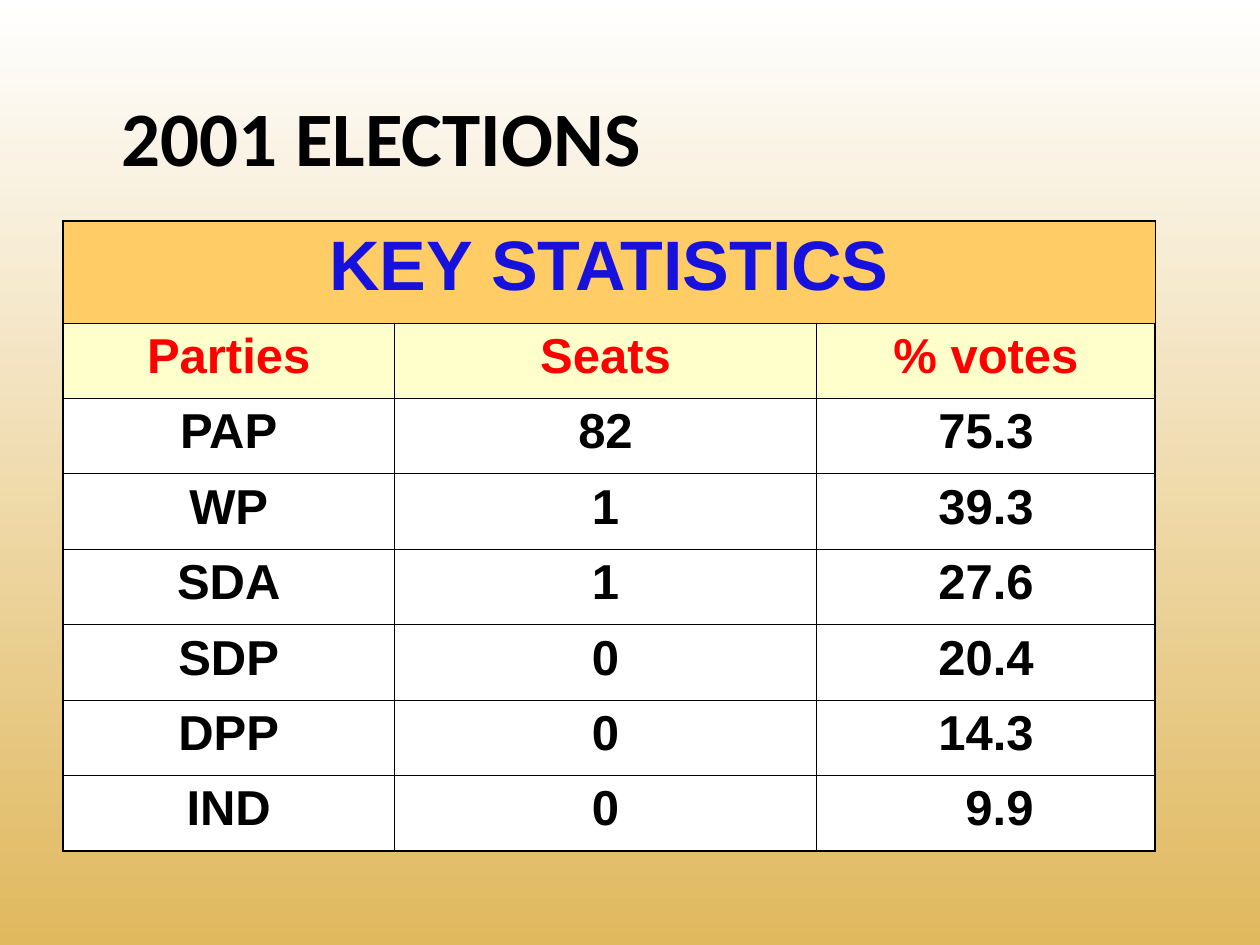
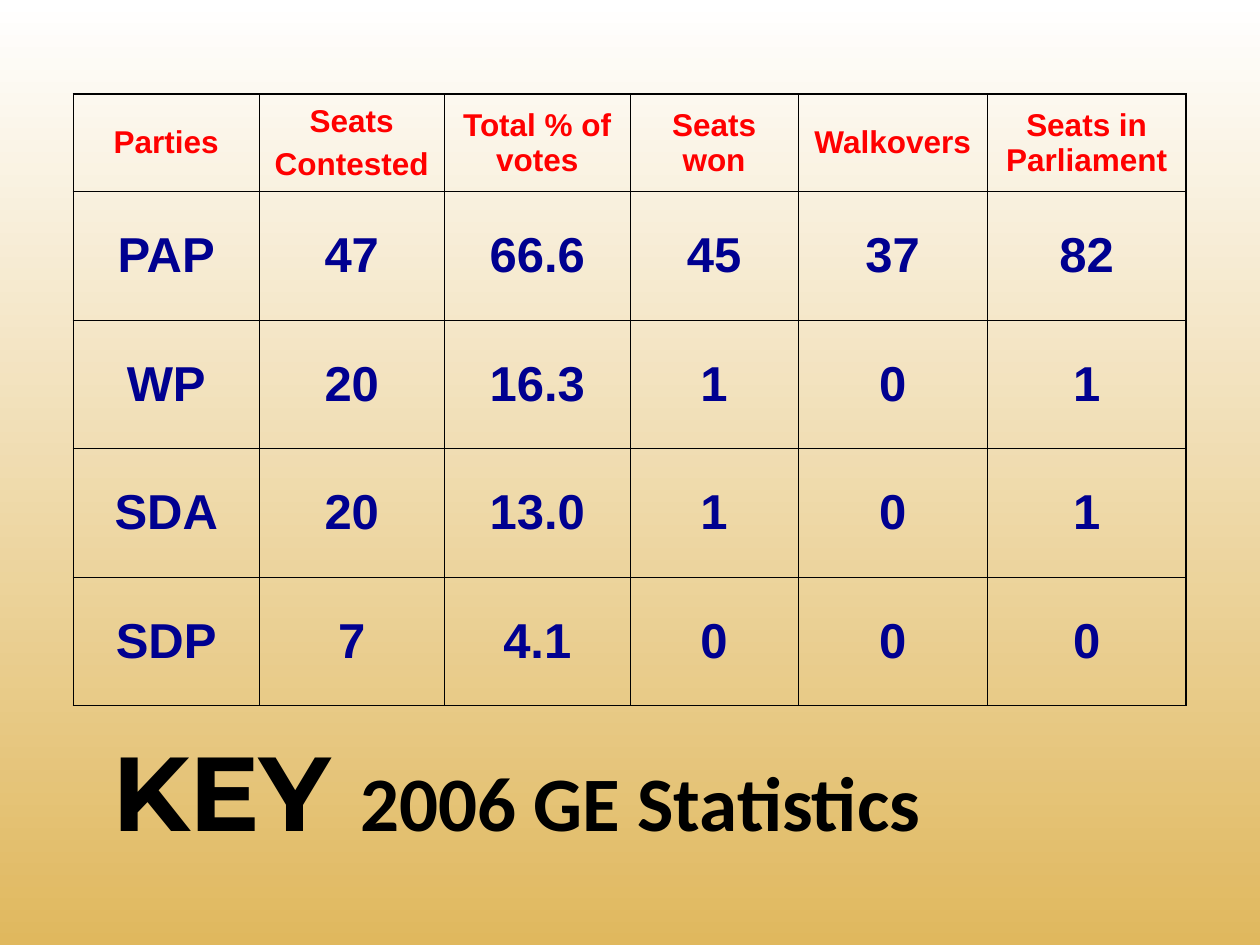
from lxml.etree import SubElement
from pptx import Presentation
from pptx.dml.color import RGBColor
from pptx.enum.text import MSO_ANCHOR, MSO_AUTO_SIZE, PP_ALIGN
from pptx.oxml.ns import qn
from pptx.util import Cm, Pt

BLACK, WHITE, RED, BLUE, NAVY = "000000", "FFFFFF", "FF0000", "1611DD", "000090"
GOLD, ORANGE, CREAM = "E0B85E", "FFCC66", "FFFFCC"
OUTER_LINE, INNER_LINE = Pt(1.08), Pt(0.45)


def paint(fill, hex_colour):
    """Fill with a solid colour, or with nothing when the colour is None."""
    if hex_colour is None:
        fill.background()
    else:
        fill.solid()
        fill.fore_color.rgb = RGBColor.from_string(hex_colour)


def draw_border(cell, side, width):
    line = SubElement(cell._tc.get_or_add_tcPr(), qn(f"a:ln{side}"), w=str(width))
    solid = SubElement(line, qn("a:solidFill"))
    SubElement(solid, qn("a:srgbClr"), val=BLACK)


deck = Presentation()
deck.slide_width, deck.slide_height = Cm(25.4), Cm(19.05)

# Shared background: gold at the bottom, white at the top
backdrop = deck.slide_master.background.fill
backdrop.gradient()
backdrop.gradient_angle = 90
for stop, hex_colour in zip(backdrop.gradient_stops, (GOLD, WHITE)):
    stop.color.rgb = RGBColor.from_string(hex_colour)

# Row styles are (text size, text colour, fill); the last one serves all remaining rows
elections = [
    {
        "title": [("2001 ELECTIONS", "Calibri", 44)],
        "title_at": (2.21, 1.9, 12.93, 1.93),
        "table_at": (1.27, 4.45),
        "columns": [6.68, 8.51, 6.83],
        "heights": [2.06] + [1.52] * 7,
        "anchor": MSO_ANCHOR.TOP,
        "styles": [(40, BLUE, ORANGE), (28, RED, CREAM), (28, BLACK, WHITE)],
        "rows": [
            ["KEY STATISTICS", "", ""],
            ["Parties", "Seats", "% votes"],
            ["PAP", "82", "75.3"],
            ["WP", "1", "39.3"],
            ["SDA", "1", "27.6"],
            ["SDP", "0", "20.4"],
            ["DPP", "0", "14.3"],
            ["IND", "0", "9.9"],
        ],
    },
    {
        "title": [("KEY ", "Montserrat", 60), ("2006 GE Statistics", "Calibri", 44)],
        "title_at": (2.01, 14.81, 18.44, 2.54),
        "table_at": (1.48, 1.9),
        "columns": [3.74, 3.74, 3.74, 3.39, 3.81, 4.01],
        "heights": [1.96] + [2.59] * 4,
        "anchor": MSO_ANCHOR.MIDDLE,
        "styles": [(18, RED, None), (28, NAVY, None)],
        "rows": [
            ["Parties", "Seats\nContested", "Total % of votes",
             "Seats won", "Walkovers", "Seats in Parliament"],
            ["PAP", "47", "66.6", "45", "37", "82"],
            ["WP", "20", "16.3", "1", "0", "1"],
            ["SDA", "20", "13.0", "1", "0", "1"],
            ["SDP", "7", "4.1", "0", "0", "0"],
        ],
    },
]

for election in elections:
    page = deck.slides.add_slide(deck.slide_layouts[6])

    box = page.shapes.add_textbox(*map(Cm, election["title_at"]))
    box.text_frame.word_wrap = False
    box.text_frame.auto_size = MSO_AUTO_SIZE.SHAPE_TO_FIT_TEXT
    para = box.text_frame.paragraphs[0]
    para.line_spacing = 0.9
    for words, typeface, size in election["title"]:
        span = para.add_run()
        span.text = words
        span.font.name, span.font.size, span.font.bold = typeface, Pt(size), True
        paint(span.font.fill, BLACK)

    rows, columns, heights = election["rows"], election["columns"], election["heights"]
    left, top = election["table_at"]
    table = page.shapes.add_table(
        len(rows), len(columns), Cm(left), Cm(top), Cm(sum(columns)), Cm(sum(heights))
    ).table
    table.first_row = table.horz_banding = False
    for column, width in zip(table.columns, columns):
        column.width = Cm(width)

    last_row, last_column = len(rows) - 1, len(columns) - 1
    for r, values in enumerate(rows):
        table.rows[r].height = Cm(heights[r])
        size, text_colour, fill_colour = election["styles"][min(r, len(election["styles"]) - 1)]
        for c, value in enumerate(values):
            cell = table.cell(r, c)
            edges = {"L": c == 0, "R": c == last_column, "T": r == 0, "B": r == last_row}
            for side, is_outer in edges.items():
                draw_border(cell, side, OUTER_LINE if is_outer else INNER_LINE)
            paint(cell.fill, fill_colour)
            cell.vertical_anchor = election["anchor"]
            cell.text = value
            for number, para in enumerate(cell.text_frame.paragraphs):
                para.alignment = PP_ALIGN.CENTER
                if number:
                    para.space_before = Pt(4.5)
                for span in para.runs:
                    span.font.name, span.font.size, span.font.bold = "Arial", Pt(size), True
                    paint(span.font.fill, text_colour)

    if rows[0][1] == "":
        table.cell(0, 0).merge(table.cell(0, last_column))
    if rows[last_row][last_column] == "9.9":
        # Lines the single digit up with the decimals above it
        table.cell(last_row, last_column).margin_left = Cm(0.8)

deck.save("out.pptx")
